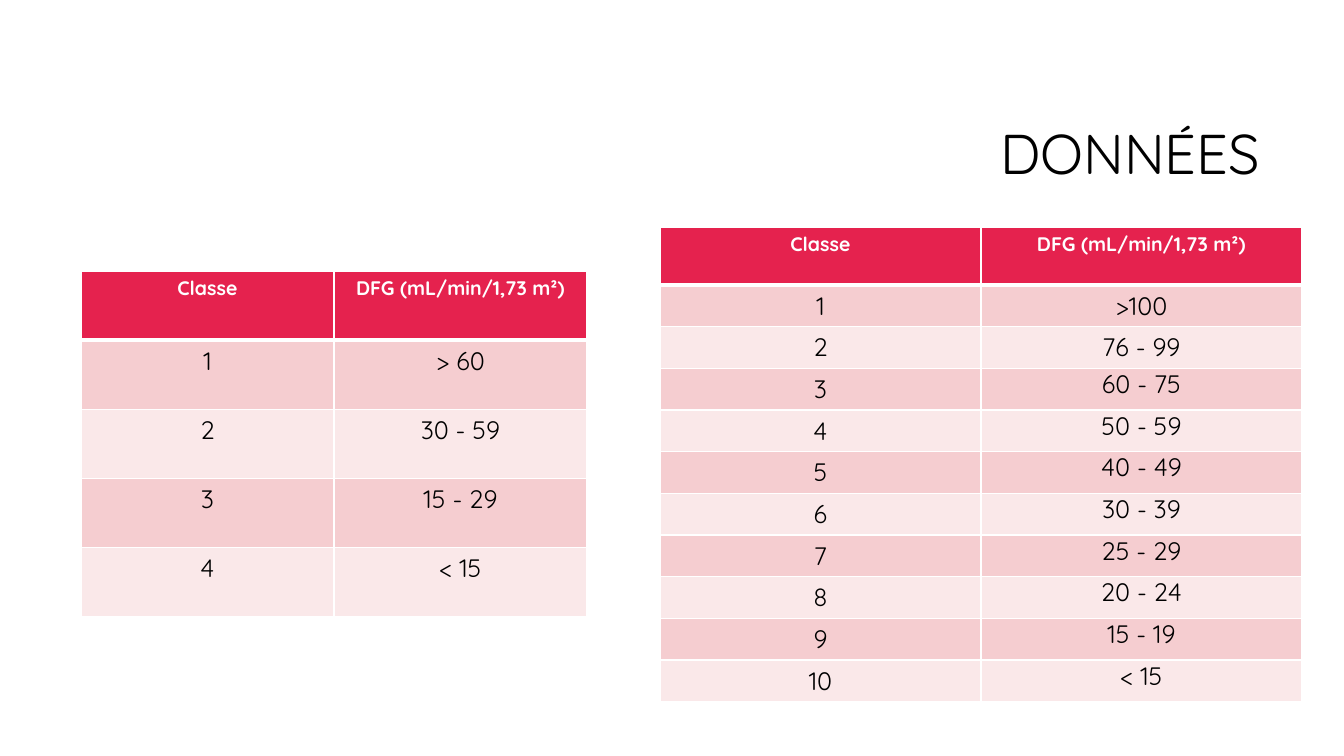
"""Build the slide "DONNÉES": two tables of GFR classes."""
from dataclasses import dataclass

from lxml import etree
from pptx import Presentation
from pptx import util as u
from pptx.dml.color import RGBColor
from pptx.enum import text
from pptx.oxml import ns

SCALE = u.Inches(1) / 100.8


@dataclass(frozen=True)
class Theme:
    font: str = "Quicksand"
    ink: str = "000000"
    white: str = "FFFFFF"
    head: str = "E5224E"
    bands: tuple[str, str] = ("F5CDD0", "FAE8E9")
    title: int = 40
    label: int = 14
    body: int = 18
    thin: int = 1
    thick: int = 3


@dataclass(frozen=True)
class Grid:
    left: int
    top: int
    width: int
    head: int
    body: int
    values: tuple[str, ...]
    tight: int


THEME = Theme()
HEADS = ("Classe", "DFG (mL/min/1,73 m²)")
GRIDS = (
    Grid(81, 271, 506, 69, 277, ("> 60", "30 - 59", "15 - 29", "< 15"), 5),
    Grid(660, 227, 642, 58, 417,
         (">100", "76 - 99", "60 - 75", "50 - 59", "40 - 49", "30 - 39",
          "25 - 29", "20 - 24", "15 - 19", "< 15"), 3),
)


def px(count: float) -> u.Emu:
    return u.Emu(round(count * SCALE))


def write(frame, words: str, *, size: int, color: str = THEME.ink,
          bold: bool = False, align=text.PP_ALIGN.CENTER,
          space: float = 1.0) -> None:
    para = frame.paragraphs[0]
    para.alignment = align
    para.line_spacing = space
    run = para.add_run()
    run.text = words
    run.font.name = THEME.font
    run.font.size = u.Pt(size)
    run.font.bold = bold
    run.font.color.rgb = RGBColor.from_string(color)


def edge(cell, top: int, bottom: int) -> None:
    props = cell._tc.get_or_add_tcPr()
    sides = {"L": THEME.thin, "R": THEME.thin, "T": top, "B": bottom}
    for side, width in sides.items():
        line = etree.SubElement(props, ns.qn(f"a:ln{side}"), w=str(u.Pt(width)))
        fill = etree.SubElement(line, ns.qn("a:solidFill"))
        etree.SubElement(fill, ns.qn("a:srgbClr"), val=THEME.white)


def paint(cell, color: str) -> None:
    cell.fill.solid()
    cell.fill.fore_color.rgb = RGBColor.from_string(color)


def draw(slide, grid: Grid) -> None:
    count = len(grid.values)
    table = slide.shapes.add_table(
        count + 1, len(HEADS), px(grid.left), px(grid.top),
        px(grid.width), px(grid.head + grid.body)).table
    for col in table.columns:
        col.width = px(grid.width / len(HEADS))
    for index, row in enumerate(table.rows):
        row.height = px(grid.body / count if index else grid.head)
    for col, words in enumerate(HEADS):
        cell = table.cell(0, col)
        edge(cell, THEME.thin, THEME.thick)
        paint(cell, THEME.head)
        write(cell.text_frame, words, size=THEME.label,
              color=THEME.white, bold=True)
    for row, value in enumerate(grid.values, 1):
        for col, words in enumerate((str(row), value)):
            cell = table.cell(row, col)
            edge(cell, THEME.thick if row == 1 else THEME.thin, THEME.thin)
            paint(cell, THEME.bands[(row - 1) % 2])
            write(cell.text_frame, words, size=THEME.body)
            if col and row >= grid.tight:
                cell.margin_left = cell.margin_right = px(7)
                cell.margin_top = cell.margin_bottom = 0


def main() -> None:
    deck = Presentation()
    deck.slide_width, deck.slide_height = px(1344), px(756)
    slide = deck.slides.add_slide(deck.slide_layouts[6])
    frame = slide.shapes.add_textbox(
        px(320), px(85), px(950), px(142)).text_frame
    frame.word_wrap = True
    frame.vertical_anchor = text.MSO_ANCHOR.MIDDLE
    write(frame, "DONNÉES", size=THEME.title,
          align=text.PP_ALIGN.RIGHT, space=0.9)
    for grid in GRIDS:
        draw(slide, grid)
    deck.save("out.pptx")


if __name__ == "__main__":
    main()
